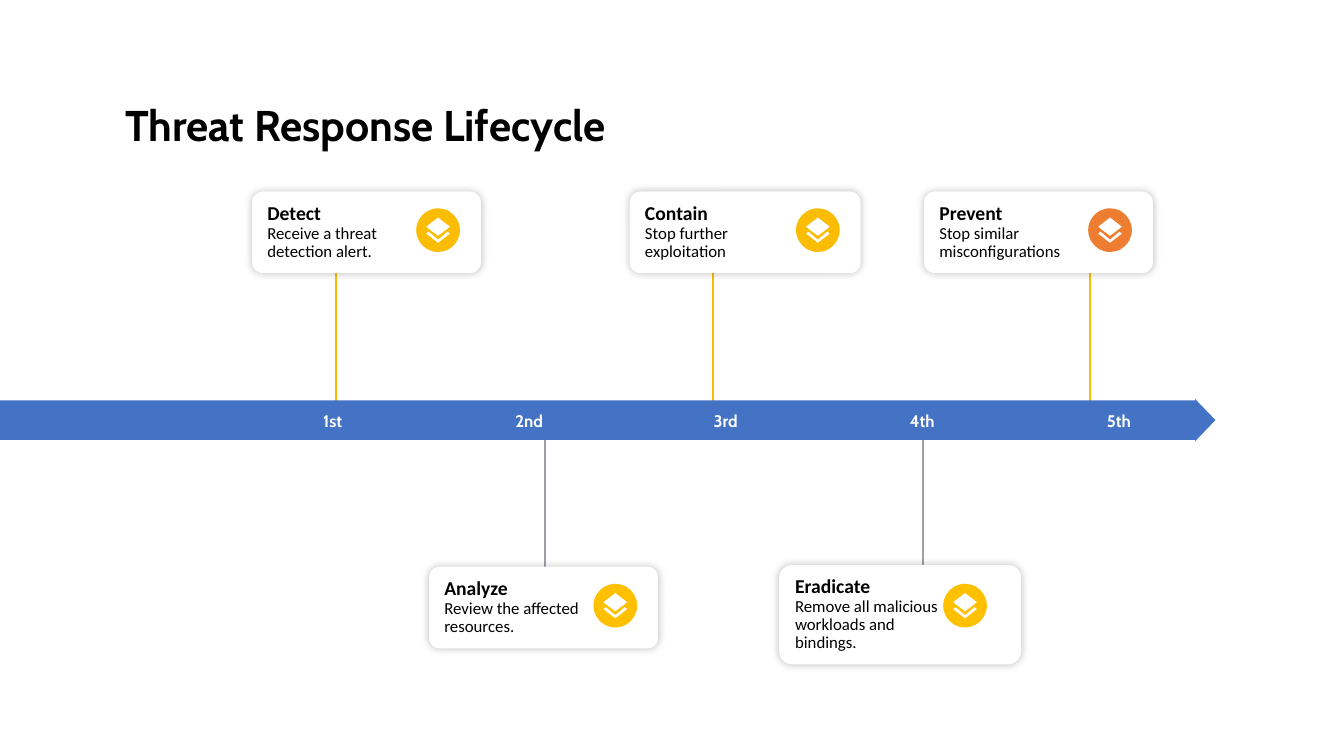
from lxml.etree import SubElement
from pptx import Presentation
from pptx.dml.color import RGBColor
from pptx.enum.shapes import MSO_CONNECTOR, MSO_SHAPE
from pptx.enum.text import MSO_ANCHOR, PP_ALIGN
from pptx.oxml.ns import qn
from pptx.util import Pt

TITLE = "Threat Response Lifecycle"
STEPS = ["1st", "2nd", "3rd", "4th", "5th"]
COLORS = {
    "white": "FFFFFF", "black": "000000", "arrow": "4472C4", "yellow": "FBBC04",
    "amber": "FFC000", "orange": "ED7D31", "gray": "9AA0A6",
}
# Each paragraph of a body is a list of lines. Boxes are left, top, width, height.
CARDS = [
    {"heading": "Detect", "body": [["Receive a threat", "detection alert."]],
     "box": (180, 136.8, 163.6, 58.4), "corner": 0.137,
     "stem": (239.8, "yellow"), "disc": (297.3, "yellow")},
    {"heading": "Analyze", "body": [["Review the affected resources."]],
     "box": (306.5, 404.8, 163.6, 58.4), "corner": 0.13,
     "stem": (389.4, "gray"), "disc": (423.9, "amber")},
    {"heading": "Contain", "body": [["Stop further ", "exploitation"]],
     "box": (449.8, 136.8, 164.9, 58.4), "corner": 0.133,
     "stem": (509.2, "yellow"), "disc": (568.6, "yellow")},
    {"heading": "Eradicate",
     "body": [["Remove all malicious workloads and"], ["bindings."]],
     "box": (556.6, 403.5, 172.8, 71), "corner": 0.13,
     "stem": (659, "gray"), "disc": (673.7, "amber")},
    {"heading": "Prevent", "body": [["Stop similar misconfigurations"]],
     "box": (660, 136.8, 163.6, 58.4), "corner": 0.136,
     "stem": (778.8, "yellow"), "disc": (777.3, "orange")},
]
ARROW_BOX = (-1.4, 285, 869.6, 30.2)
ARROW_MIDDLE = ARROW_BOX[1] + ARROW_BOX[3] / 2
LABEL_LEFT, LABEL_PITCH, LABEL_TOP = 193.7, 140.4, 283.7
LABEL_WIDTH, LABEL_HEIGHT = 87.8, 33.1
DISC_SIZE = 31.2
UPPER_DISC_TOP, LOWER_DISC_TOP = 148.8, 417
# Layer icon, as offsets from the centre of its disc
ICON_OUTLINES = [
    [(0, 6.8), (6.8, 1.1), (8.4, 2.5), (0, 9), (-8.4, 2.5), (-6.8, 1.1)],
    [(0, 4), (-6.8, -1.1), (-8.4, -2.5), (0, -9), (8.4, -2.5), (6.8, -1.1)],
]


def rgb(name):
    return RGBColor.from_string(COLORS[name])


def add_filled_shape(slide, kind, box, color=None):
    shape = slide.shapes.add_shape(kind, *(Pt(value) for value in box))
    style_shape(shape, color)
    return shape


def style_shape(shape, color):
    shape.shadow.inherit = False
    shape.line.fill.background()
    if color:
        shape.fill.solid()
        shape.fill.fore_color.rgb = rgb(color)
    else:
        shape.fill.background()


def prepare_text(shape, margin, anchor):
    frame = shape.text_frame
    frame.word_wrap = True
    frame.vertical_anchor = anchor
    frame.margin_left = frame.margin_right = Pt(margin)
    frame.margin_top = frame.margin_bottom = Pt(margin)
    return frame


def add_run(paragraph, text, size, font, color, bold):
    run = paragraph.add_run()
    run.text = text
    run.font.size = Pt(size)
    run.font.name = font
    run.font.bold = bold
    run.font.color.rgb = rgb(color)


def add_glow_shadow(shape):
    """Put a soft shadow, centred under the shape, around all its edges."""
    effects = shape._element.spPr.find(qn("a:effectLst"))
    shadow = SubElement(effects, qn("a:outerShdw"), blurRad=str(Pt(6)),
                        dist="0", dir="0", algn="ctr", rotWithShape="0")
    color = SubElement(shadow, qn("a:srgbClr"), val=COLORS["black"])
    SubElement(color, qn("a:alpha"), val="25000")


def is_upper(card):
    return card["box"][1] < ARROW_MIDDLE


def add_title(slide):
    title = slide.shapes.title
    title.left, title.top, title.width, title.height = Pt(89.3), Pt(69.1), Pt(399.6), Pt(38.2)
    paragraph = prepare_text(title, 0, MSO_ANCHOR.BOTTOM).paragraphs[0]
    paragraph.alignment = PP_ALIGN.LEFT
    add_run(paragraph, TITLE, 30.7, "Cabin", "black", True)


def add_stem(slide, card):
    x, color = card["stem"]
    _, top, _, height = card["box"]
    card_end = top + height / 2
    arrow_end = 289.4 if is_upper(card) else 309.6
    stem = slide.shapes.add_connector(
        MSO_CONNECTOR.STRAIGHT, Pt(x), Pt(card_end), Pt(x), Pt(arrow_end))
    stem.line.width = Pt(1.5)
    stem.line.color.rgb = rgb(color)
    SubElement(stem._element.spPr, qn("a:effectLst"))


def add_timeline(slide):
    arrow = add_filled_shape(slide, MSO_SHAPE.RIGHT_ARROW, ARROW_BOX, "arrow")
    arrow.adjustments[0], arrow.adjustments[1] = 0.937, 0.481
    for index, step in enumerate(STEPS):
        box = (LABEL_LEFT + index * LABEL_PITCH, LABEL_TOP, LABEL_WIDTH, LABEL_HEIGHT)
        label = add_filled_shape(slide, MSO_SHAPE.ROUNDED_RECTANGLE, box)
        label.adjustments[0] = 0
        paragraph = prepare_text(label, 0, MSO_ANCHOR.MIDDLE).paragraphs[0]
        paragraph.alignment = PP_ALIGN.CENTER
        add_run(paragraph, step, 12, "Cabin", "white", True)


def add_card(slide, card):
    shape = add_filled_shape(slide, MSO_SHAPE.ROUNDED_RECTANGLE, card["box"], "white")
    shape.adjustments[0] = card["corner"]
    add_glow_shadow(shape)
    frame = prepare_text(shape, 8.64, MSO_ANCHOR.MIDDLE)
    add_run(frame.paragraphs[0], card["heading"], 14, "Calibri", "black", True)
    for lines in card["body"]:
        paragraph = frame.add_paragraph()
        for index, line in enumerate(lines):
            if index:
                paragraph.add_line_break()
            add_run(paragraph, line, 12, "Calibri", "black", False)
    for paragraph in frame.paragraphs:
        paragraph.alignment = PP_ALIGN.LEFT
        paragraph.line_spacing = 0.9


def add_icon(slide, card):
    left, color = card["disc"]
    top = UPPER_DISC_TOP if is_upper(card) else LOWER_DISC_TOP
    add_filled_shape(slide, MSO_SHAPE.OVAL, (left, top, DISC_SIZE, DISC_SIZE), color)
    center_x, center_y = left + DISC_SIZE / 2, top + DISC_SIZE / 2
    chevron, diamond = [
        [(Pt(center_x + x), Pt(center_y + y)) for x, y in outline]
        for outline in ICON_OUTLINES]
    builder = slide.shapes.build_freeform(*chevron[0])
    builder.add_line_segments(chevron[1:], close=True)
    builder.move_to(*diamond[0])
    builder.add_line_segments(diamond[1:], close=True)
    style_shape(builder.convert_to_shape(), "white")


def main():
    presentation = Presentation()
    presentation.slide_width, presentation.slide_height = Pt(960), Pt(540)
    slide = presentation.slides.add_slide(presentation.slide_layouts[5])
    add_title(slide)
    for card in CARDS:
        add_stem(slide, card)
    add_timeline(slide)
    for card in CARDS:
        add_card(slide, card)
        add_icon(slide, card)
    presentation.save("out.pptx")


if __name__ == "__main__":
    main()
